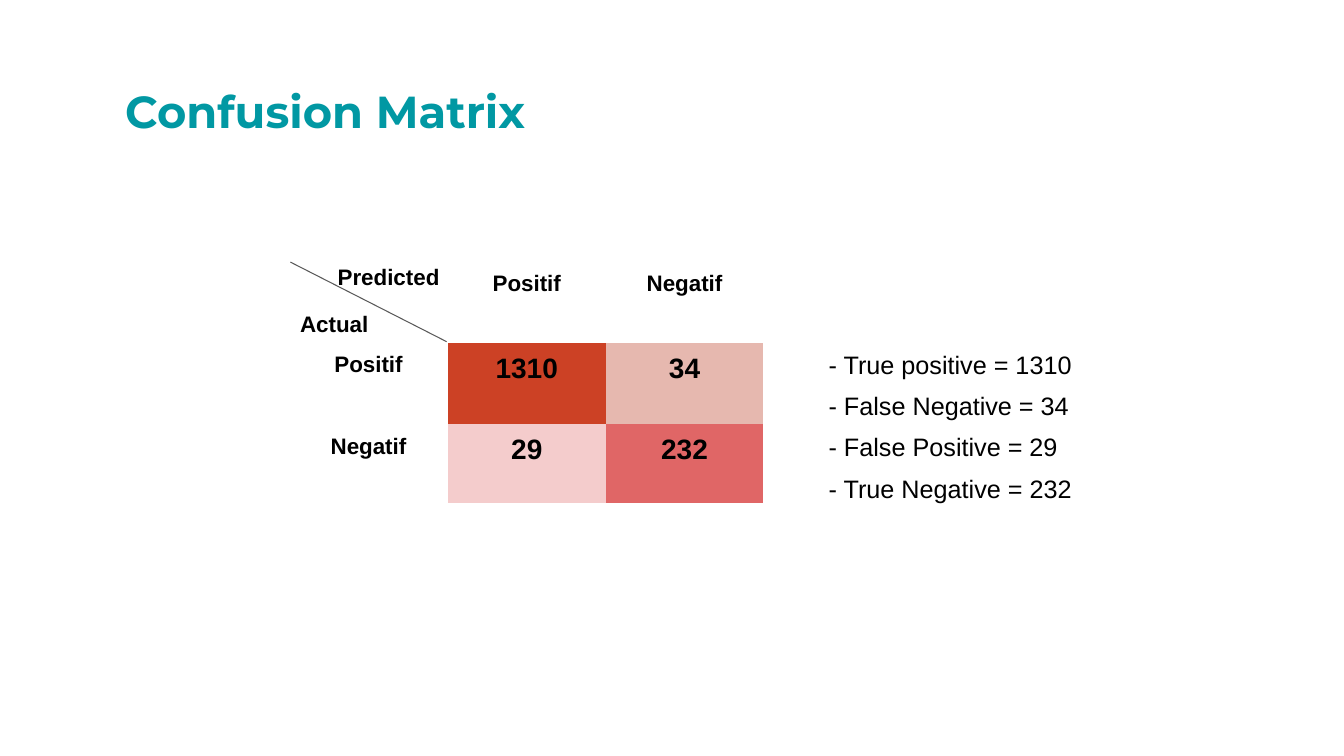
from lxml import etree
from pptx import Presentation
from pptx import util as u
from pptx.dml.color import RGBColor
from pptx.enum import shapes, text
from pptx.oxml import ns

PX = 9144  # 100 px to the inch
COLORS = {
    "title": "0198A3",
    "ink": "000000",
    "line": "595959",
    "true_positive": "CC4125",
    "false_negative": "E6B8AF",
    "false_positive": "F4CCCC",
    "true_negative": "E06666",
}
CLASSES = ["Positif", "Negatif"]
COUNTS = [
    [(1310, "true_positive"), (34, "false_negative")],
    [(29, "false_positive"), (232, "true_negative")],
]
SUMMARY = [
    "- True positive = 1310",
    "- False Negative = 34",
    "- False Positive = 29",
    "- True Negative = 232",
]


def px(*lengths):
    return [u.Emu(length * PX) for length in lengths]


def color(name):
    return RGBColor.from_string(COLORS[name])


def write(para, words, size, bold=True, font="Arial", ink="ink", align=None, spacing=None):
    para.alignment = align
    para.line_spacing = spacing
    span = para.add_run()
    span.text = words
    span.font.name = font
    span.font.size = u.Pt(size)
    span.font.bold = bold
    span.font.color.rgb = color(ink)


def set_margins(target, side, edge):
    target.margin_left, target.margin_right = px(side, side)
    target.margin_top, target.margin_bottom = px(edge, edge)


def add_title(page, words):
    title = page.shapes.title
    title.left, title.top, title.width, title.height = px(114, 76, 804, 64)
    frame = title.text_frame
    frame.word_wrap = True
    frame.auto_size = text.MSO_AUTO_SIZE.NONE
    frame.vertical_anchor = text.MSO_ANCHOR.TOP
    set_margins(frame, 10, 5)
    write(frame.paragraphs[0], words, 32, font="Montserrat", ink="title",
          align=text.PP_ALIGN.LEFT, spacing=1.03)


def add_text(page, place, lines, size, **style):
    box = page.shapes.add_textbox(*px(*place))
    frame = box.text_frame
    frame.word_wrap = True
    set_margins(frame, 10, 10)
    for index, line in enumerate(lines):
        para = frame.add_paragraph() if index else frame.paragraphs[0]
        write(para, line, size, **style)


def fill_cell(cell, words, size, fill=None):
    set_margins(cell, 10, 10)
    # Borders come before the fill in the cell properties
    properties = cell._tc.get_or_add_tcPr()
    for side in ("a:lnL", "a:lnR", "a:lnT", "a:lnB"):
        border = etree.SubElement(properties, ns.qn(side), w="0")
        etree.SubElement(border, ns.qn("a:noFill"))
    if fill:
        cell.fill.solid()
        cell.fill.fore_color.rgb = color(fill)
    else:
        cell.fill.background()
    if words:
        write(cell.text_frame.paragraphs[0], words, size, align=text.PP_ALIGN.CENTER)


def add_matrix(page):
    widths, heights = px(157, 157, 156), px(81, 81, 78)
    frame = page.shapes.add_table(3, 3, *px(287, 259), sum(widths), sum(heights))
    table = frame.table
    table.first_row = table.horz_banding = False
    for column, width in zip(table.columns, widths):
        column.width = width
    for row, height in zip(table.rows, heights):
        row.height = height

    # Headings, then counts
    fill_cell(table.cell(0, 0), "", 16)
    for i, name in enumerate(CLASSES, start=1):
        fill_cell(table.cell(0, i), name, 16)
        fill_cell(table.cell(i, 0), name, 16)
        for j, (count, fill) in enumerate(COUNTS[i - 1], start=1):
            fill_cell(table.cell(i, j), str(count), 20, fill)


def add_line(page, start, end):
    line = page.shapes.add_connector(shapes.MSO_CONNECTOR.STRAIGHT, *px(*start, *end))
    line.line.color.rgb = color("line")
    line.line.width = u.Pt(0.75)
    etree.SubElement(line._element.spPr, ns.qn("a:effectLst"))


def main():
    deck = Presentation()
    deck.slide_width, deck.slide_height = px(1333, 750)
    page = deck.slides.add_slide(deck.slide_layouts[5])
    add_title(page, "Confusion Matrix")

    # Matrix with its split corner
    add_matrix(page)
    add_line(page, (288, 260), (443, 339))
    center = text.PP_ALIGN.CENTER
    add_text(page, (311, 251, 155, 47), ["Predicted "], 16, align=center)
    add_text(page, (254, 298, 155, 47), ["Actual"], 16, align=center)

    # Reading of the four counts
    add_text(page, (812, 326, 328, 174), SUMMARY, 18, bold=False, spacing=1.36)
    deck.save("out.pptx")


if __name__ == "__main__":
    main()
